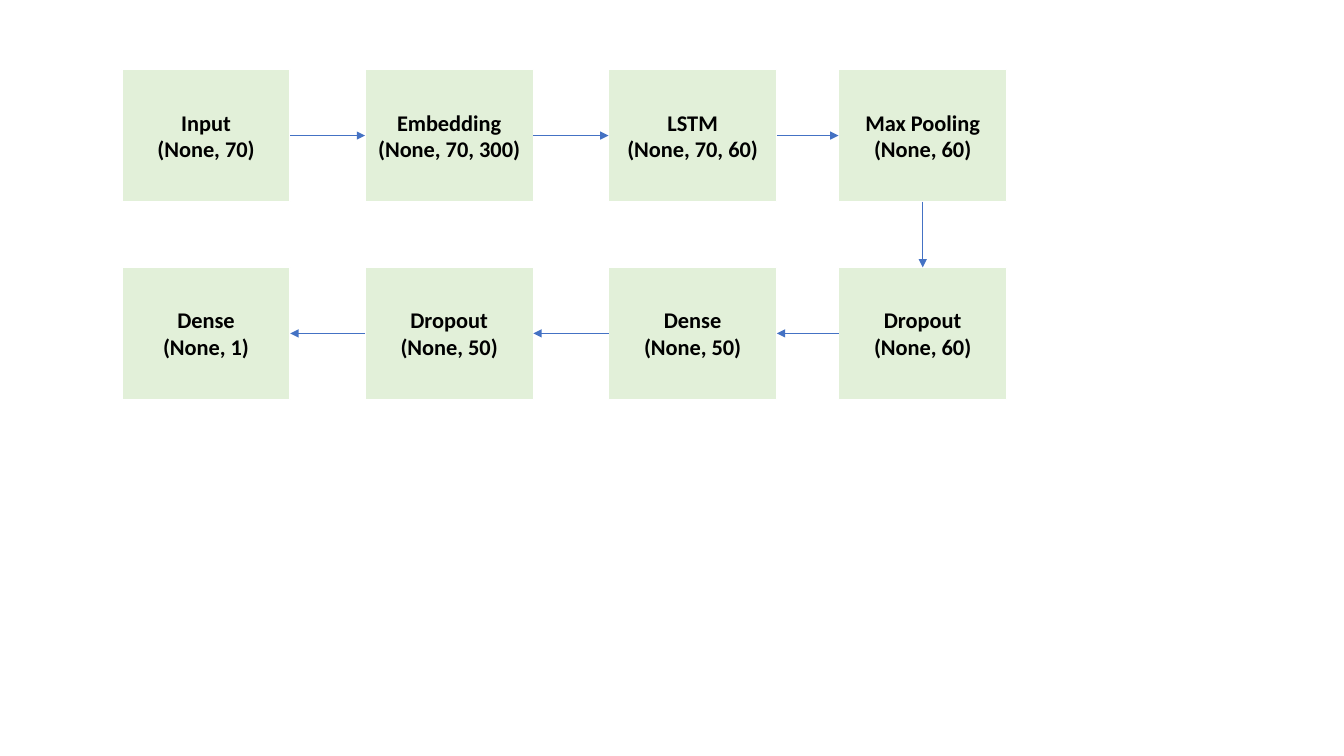
from itertools import pairwise

from lxml.etree import SubElement
from pptx import Presentation
from pptx.dml.color import RGBColor
from pptx.enum.shapes import MSO_CONNECTOR as LINK, MSO_SHAPE as SHAPE
from pptx.enum.text import MSO_ANCHOR as ANCHOR, PP_ALIGN as ALIGN
from pptx.oxml.ns import qn
from pptx.util import Pt

GREEN = RGBColor(0xE2, 0xF0, 0xD9)
WHITE = RGBColor(0xFF, 0xFF, 0xFF)
BLACK = RGBColor(0x00, 0x00, 0x00)
BLUE = RGBColor(0x44, 0x72, 0xC4)

TOP, LEFT, BOTTOM, RIGHT = range(4)  # connection sites of a rectangle
WIDTH, HEIGHT = 120.2, 94.3
COLS = [87.1, 260.8, 434.7, 599]
ROWS = [49.7, 191]

FORWARD = ["Input\n(None, 70)", "Embedding\n(None, 70, 300)",
           "LSTM\n(None, 70, 60)", "Max Pooling\n(None, 60)"]
BACK = ["Dropout\n(None, 60)", "Dense\n(None, 50)",
        "Dropout\n(None, 50)", "Dense\n(None, 1)"]


class Canvas:
    """Holds the text style and the current slide."""

    def __init__(self, slide, font="Calibri", size=16):
        """Keep the slide and its font."""
        self.shapes = slide.shapes
        self.font = font
        self.size = Pt(size)

    def layer(self, text, left, top):
        """Draw one network layer as a labelled box."""
        box = self.shapes.add_shape(SHAPE.RECTANGLE, Pt(left), Pt(top),
                                    Pt(WIDTH), Pt(HEIGHT))
        box.shadow.inherit = False
        box.fill.solid()
        box.fill.fore_color.rgb = GREEN
        box.line.color.rgb = WHITE
        box.line.width = Pt(1)
        frame = box.text_frame
        frame.text = text
        frame.word_wrap = True
        frame.vertical_anchor = ANCHOR.MIDDLE
        for para in frame.paragraphs:
            para.alignment = ALIGN.CENTER
            for run in para.runs:
                run.font.name = self.font
                run.font.size = self.size
                run.font.bold = True
                run.font.color.rgb = BLACK
        return box

    def arrow(self, start, out, end, into):
        """Join two boxes with an arrow between the given sites."""
        link = self.shapes.add_connector(LINK.STRAIGHT, 0, 0, 0, 0)
        link.begin_connect(start, out)
        link.end_connect(end, into)
        link.line.color.rgb = BLUE
        link.line.width = Pt(0.5)
        SubElement(link.line._get_or_add_ln(), qn("a:tailEnd"), type="triangle")
        SubElement(link._element.spPr, qn("a:effectLst"))


deck = Presentation()
deck.slide_width, deck.slide_height = Pt(960), Pt(540)
canvas = Canvas(deck.slides.add_slide(deck.slide_layouts[6]))

upper = [canvas.layer(text, x, ROWS[0]) for text, x in zip(FORWARD, COLS)]
lower = [canvas.layer(text, x, ROWS[1]) for text, x in zip(BACK, reversed(COLS))]

for start, end in pairwise(upper):
    canvas.arrow(start, RIGHT, end, LEFT)
canvas.arrow(upper[-1], BOTTOM, lower[0], TOP)
for start, end in pairwise(lower):
    canvas.arrow(start, LEFT, end, RIGHT)

deck.save("out.pptx")
